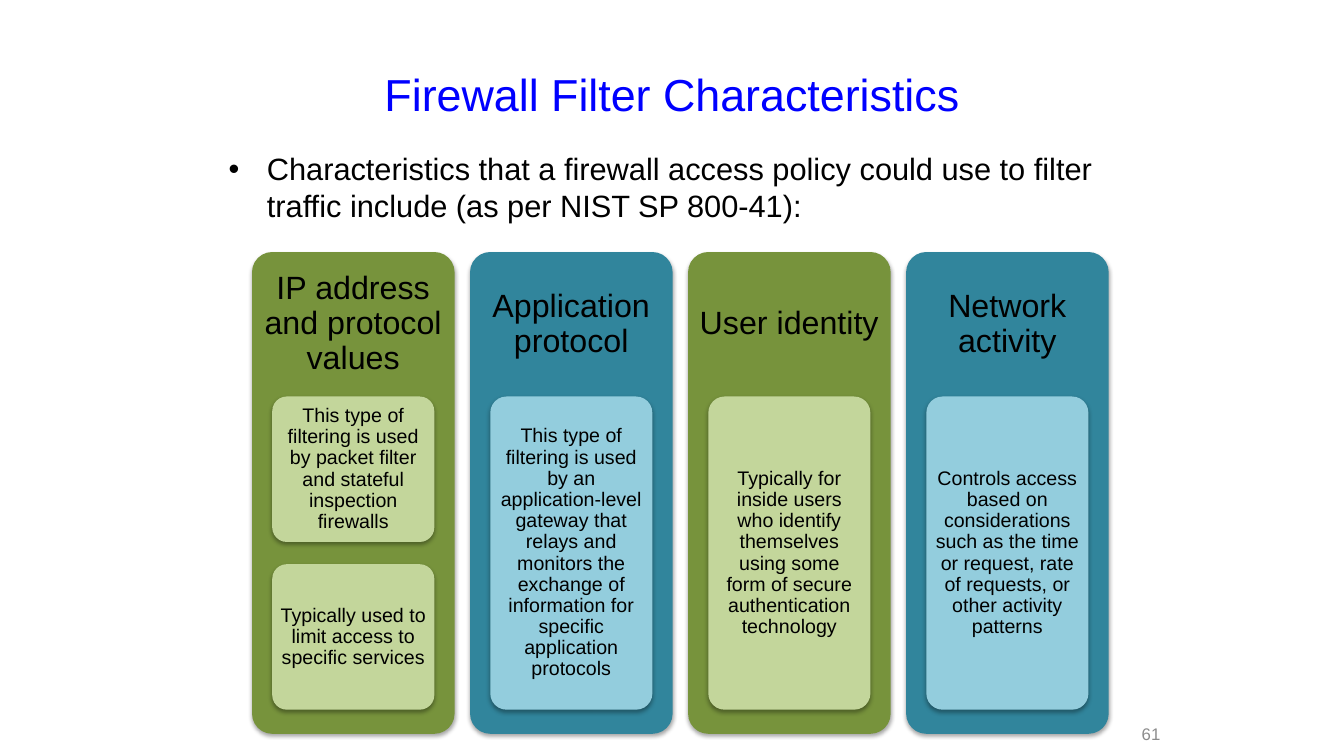
from lxml import etree
from pptx import Presentation, util as u
from pptx.dml.color import RGBColor
from pptx.enum import shapes, text
from pptx.oxml import parse_xml
from pptx.oxml.ns import nsdecls, qn

COLORS = {"title": "0000FF", "text": "000000", "number": "8C8C8C",
          "green": "77933C", "light green": "C3D69B",
          "teal": "31859C", "light teal": "93CDDD"}
COLUMNS = [
    ("green", "IP address and protocol values", [
        "This type of filtering is used by packet filter and stateful inspection firewalls",
        "Typically used to limit access to specific services"]),
    ("teal", "Application protocol", [
        "This type of filtering is used by an application-level gateway that relays and "
        "monitors the exchange of information for specific application protocols"]),
    ("green", "User identity", [
        "Typically for inside users who identify themselves using some form of secure "
        "authentication technology"]),
    ("teal", "Network activity", [
        "Controls access based on considerations such as the time or request, rate of "
        "requests, or other activity patterns"]),
]
LEFT, TOP, PITCH, WIDTH, HEIGHT = 2.5, 2.5, 2.163, 2.01, 4.78
HEAD, CARDS, GAP = 0.3 * HEIGHT, 0.65 * HEIGHT, 0.22

prs = Presentation()
prs.slide_width, prs.slide_height = u.Inches(13.333), u.Inches(7.5)
s = prs.slides.add_slide(prs.slide_layouts[5])


def write(sp, words, size, color, align, anchor, insets):
    tf = sp.text_frame
    tf.word_wrap = True
    tf.vertical_anchor = anchor
    tf.margin_left, tf.margin_top, tf.margin_right, tf.margin_bottom = map(u.Inches, insets)
    p = tf.paragraphs[0]
    p.text = words
    p.alignment = align
    r = p.runs[0]
    r.font.name, r.font.size = "Arial", u.Pt(size)
    r.font.color.rgb = RGBColor.from_string(COLORS[color])
    return p


def block(x, y, w, h, fill, words, size, insets):
    sp = s.shapes.add_shape(shapes.MSO_SHAPE.ROUNDED_RECTANGLE, *map(u.Inches, (x, y, w, h)))
    sp.adjustments[0] = 0.1
    sp.fill.solid()
    sp.fill.fore_color.rgb = RGBColor.from_string(COLORS[fill])
    sp.line.fill.background()
    sp.shadow.inherit = False
    sp._element.spPr.find(qn("a:effectLst")).append(parse_xml(
        f'<a:outerShdw {nsdecls("a")} blurRad="40000" dist="23000" dir="5400000" rotWithShape="0">'
        '<a:srgbClr val="000000"><a:alpha val="35000"/></a:srgbClr></a:outerShdw>'))
    p = write(sp, words, size, "text", text.PP_ALIGN.CENTER, text.MSO_ANCHOR.MIDDLE, insets)
    p.line_spacing = 0.9


title = s.shapes.title
title.left, title.top, title.width, title.height = map(u.Inches, (0.67, 0.3, 12, 1.25))
write(title, "Firewall Filter Characteristics", 32, "title",
      text.PP_ALIGN.CENTER, text.MSO_ANCHOR.MIDDLE, (0.1, 0.05, 0.1, 0.05))

intro = s.shapes.add_textbox(*map(u.Inches, (2.17, 1.44, 9, 0.95)))
p = write(intro, "Characteristics that a firewall access policy could use to filter traffic "
          "include (as per NIST SP 800-41):", 22, "text",
          text.PP_ALIGN.LEFT, text.MSO_ANCHOR.TOP, (0.1, 0.05, 0.1, 0.05))
pPr = p._p.get_or_add_pPr()
pPr.set("marL", str(u.Inches(0.38)))
pPr.set("indent", str(u.Inches(-0.38)))
etree.SubElement(pPr, qn("a:buFont")).set("typeface", "Arial")
etree.SubElement(pPr, qn("a:buChar")).set("char", "•")

for i, (color, heading, cards) in enumerate(COLUMNS):
    x = LEFT + i * PITCH
    block(x, TOP, WIDTH, HEIGHT, color, heading, 23, (0.04, 0.04, 0.04, HEIGHT - HEAD + 0.04))
    h = (CARDS - GAP * (len(cards) - 1)) / len(cards)
    for j, words in enumerate(cards):
        block(x + 0.1 * WIDTH, TOP + HEAD + j * (h + GAP), 0.8 * WIDTH, h,
              f"light {color}", words, 14, (0.04, 0.03, 0.04, 0.03))

number = s.shapes.add_textbox(*map(u.Inches, (10.93, 7.2, 0.68, 0.15)))
write(number, "61", 12, "number", text.PP_ALIGN.RIGHT, text.MSO_ANCHOR.MIDDLE, (0.1, 0.05, 0.1, 0.05))

prs.save("out.pptx")
